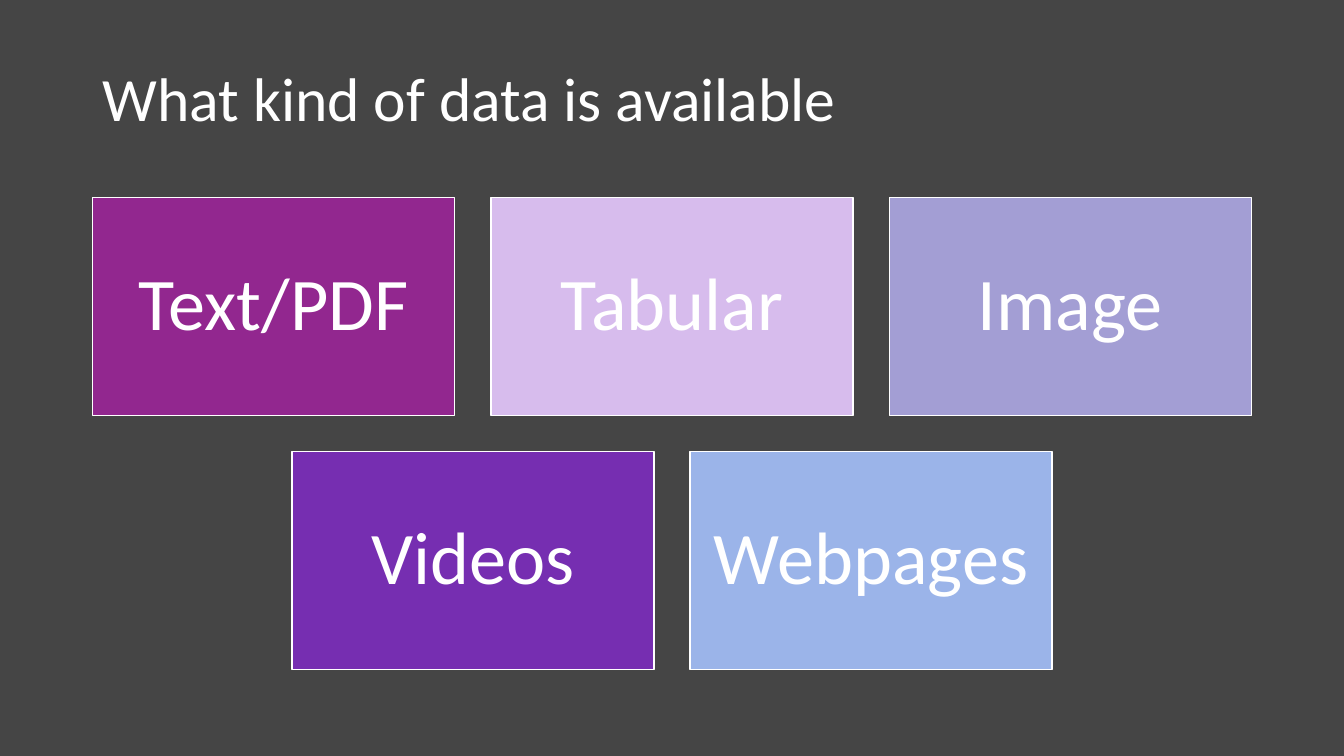
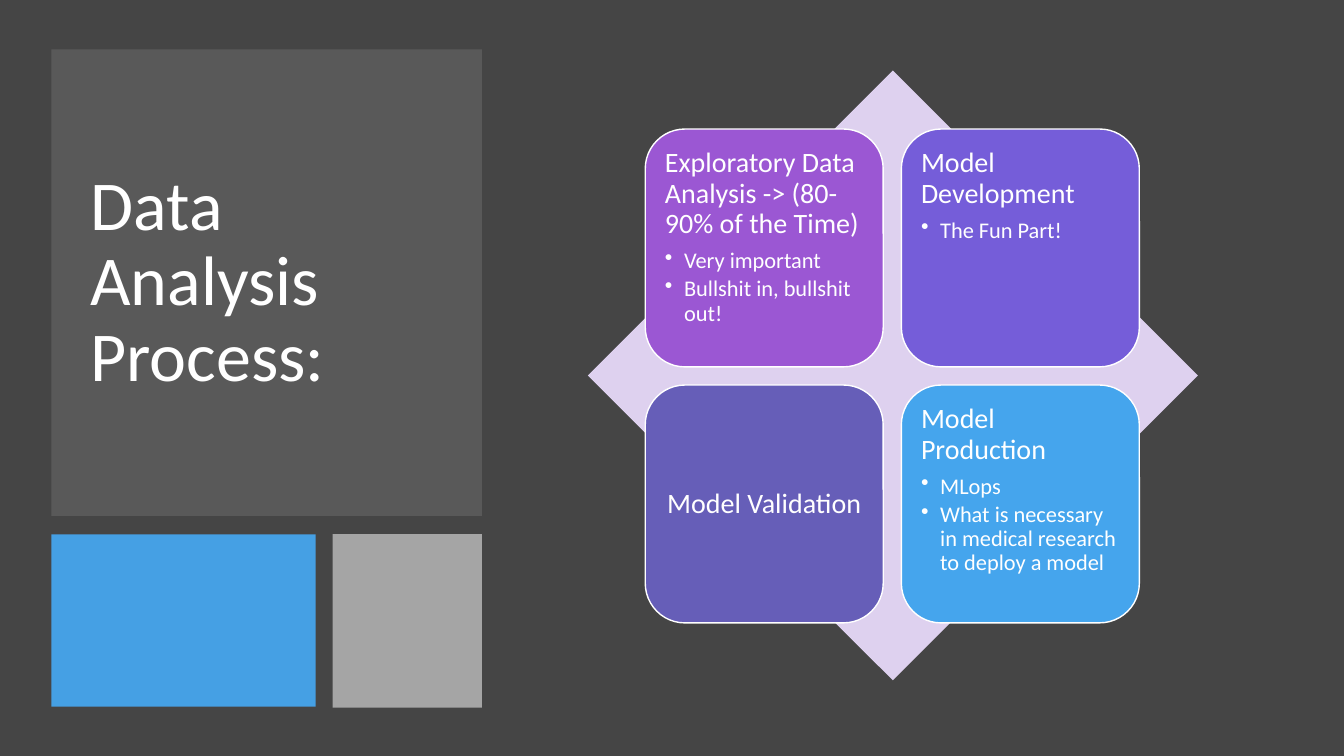
"""Build two dark slides on data kinds and the analysis process."""
from dataclasses import dataclass

import lxml.etree
import pptx
import pptx.dml.color
import pptx.enum.shapes
import pptx.enum.text
import pptx.oxml.ns
import pptx.util

WIDE = pptx.util.Inches(13.33)
HIGH = pptx.util.Inches(7.5)
FONT = "Calibri"
BACK = "454545"
WHITE = "FFFFFF"
BLUE = "45A5ED"
KIND = pptx.enum.shapes.MSO_SHAPE
ALIGN = pptx.enum.text.PP_ALIGN
ANCHOR = pptx.enum.text.MSO_ANCHOR


@dataclass(frozen=True)
class Area:
    """A box in percent of the slide's width and height."""
    left: float
    top: float
    wide: float
    high: float

    def cell(self, col: float, row: float, cols: int, rows: int, gap: float) -> "Area":
        """Return a grid cell; the gap is in percent of the slide's width."""
        rise = gap * WIDE / HIGH
        wide = (self.wide - gap * (cols - 1)) / cols
        high = (self.high - rise * (rows - 1)) / rows
        return Area(self.left + col * (wide + gap), self.top + row * (high + rise), wide, high)

    def place(self) -> tuple[int, int, int, int]:
        """Return the box in slide units."""
        return (int(self.left * WIDE / 100), int(self.top * HIGH / 100),
                int(self.wide * WIDE / 100), int(self.high * HIGH / 100))


@dataclass(frozen=True)
class Tile:
    """A coloured card with a heading and bullet points."""
    col: float
    row: int
    fill: str
    head: str
    points: tuple[str, ...] = ()


@dataclass(frozen=True)
class Panel:
    """A plain shape without text."""
    area: Area
    fill: str
    kind: int = KIND.RECTANGLE
    alpha: int = 100


@dataclass(frozen=True)
class Style:
    """The look and grid of a set of cards."""
    area: Area
    cols: int
    gap: float
    kind: int
    size: int
    inset: float


DATA = Style(Area(6.9, 26.13, 86.2, 62.4), 3, 2.7, KIND.RECTANGLE, 53, 0.22)
STEPS = Style(Area(48.01, 17.07, 36.76, 65.33), 2, 1.35, KIND.ROUNDED_RECTANGLE, 20, 0.08)

KINDS = (
    Tile(0, 0, "92278F", "Text/PDF"),
    Tile(1, 0, "D7BCED", "Tabular"),
    Tile(2, 0, "A39ED4", "Image"),
    Tile(0.5, 1, "762EB1", "Videos"),
    Tile(1.5, 1, "9BB4E9", "Webpages"),
)
PANELS = (
    Panel(Area(3.83, 6.53, 32.03, 61.73), "595959"),
    Panel(Area(3.83, 70.67, 19.65, 22.8), BLUE, alpha=95),
    Panel(Area(24.76, 70.67, 11.1, 22.93), "A5A5A5"),
    Panel(Area(43.74, 9.33, 45.39, 80.67), "DED1EF", KIND.DIAMOND),
)
PHASES = (
    Tile(0, 0, "9B57D3", "Exploratory Data Analysis -> (80-90% of the Time)",
         ("Very important", "Bullshit in, bullshit out!")),
    Tile(1, 0, "755DD9", "Model Development", ("The Fun Part!",)),
    Tile(0, 1, "665EB8", "Model Validation"),
    Tile(1, 1, BLUE, "Model Production",
         ("MLops", "What is necessary in medical research to deploy a model")),
)


def paint(fill, tone: str) -> None:
    """Fill with one solid colour."""
    fill.solid()
    fill.fore_color.rgb = pptx.dml.color.RGBColor.from_string(tone)


def write(para, text: str, size: int) -> None:
    """Add a white run to a paragraph."""
    para.line_spacing = 0.9
    run = para.add_run()
    run.text = text
    run.font.name = FONT
    run.font.size = pptx.util.Pt(size)
    paint(run.font.fill, WHITE)


def dot(para) -> None:
    """Give a paragraph a hanging bullet."""
    props = para._p.get_or_add_pPr()
    step = pptx.util.Inches(0.19)
    props.set("marL", str(step))
    props.set("indent", str(-step))
    mark = lxml.etree.SubElement(props, pptx.oxml.ns.qn("a:buChar"))
    mark.set("char", "•")


def title(slide, area: Area, text: str, size: int) -> None:
    """Add the slide's title."""
    frame = slide.shapes.add_textbox(*area.place()).text_frame
    frame.word_wrap = True
    frame.vertical_anchor = ANCHOR.MIDDLE
    write(frame.paragraphs[0], text, size)


def block(slide, panel: Panel):
    """Add a flat shape without a line."""
    shape = slide.shapes.add_shape(panel.kind, *panel.area.place())
    shape.shadow.inherit = False
    paint(shape.fill, panel.fill)
    shape.line.fill.background()
    if panel.alpha < 100:
        tone = next(shape._element.spPr.iter(pptx.oxml.ns.qn("a:srgbClr")))
        alpha = lxml.etree.SubElement(tone, pptx.oxml.ns.qn("a:alpha"))
        alpha.set("val", str(panel.alpha * 1000))
    return shape


def card(slide, style: Style, tile: Tile) -> None:
    """Add a card with its text."""
    area = style.area.cell(tile.col, tile.row, style.cols, 2, style.gap)
    shape = block(slide, Panel(area, tile.fill, style.kind))
    paint(shape.line.fill, WHITE)
    shape.line.width = pptx.util.Pt(1)
    frame = shape.text_frame
    frame.word_wrap = True
    inset = pptx.util.Inches(style.inset)
    frame.margin_left = frame.margin_right = inset
    frame.margin_top = frame.margin_bottom = inset
    frame.vertical_anchor = ANCHOR.TOP if tile.points else ANCHOR.MIDDLE
    para = frame.paragraphs[0]
    para.alignment = ALIGN.LEFT if tile.points else ALIGN.CENTER
    write(para, tile.head, style.size)
    if tile.points:
        para.space_after = pptx.util.Pt(7)
    for point in tile.points:
        para = frame.add_paragraph()
        dot(para)
        para.alignment = ALIGN.LEFT
        para.space_after = pptx.util.Pt(3)
        write(para, point, 16)


def sheet(deck):
    """Add a blank dark slide."""
    slide = deck.slides.add_slide(deck.slide_layouts[6])
    paint(slide.background.fill, BACK)
    return slide


def main() -> None:
    """Build and save the deck."""
    deck = pptx.Presentation()
    deck.slide_width, deck.slide_height = WIDE, HIGH

    slide = sheet(deck)
    title(slide, Area(6.9, 3.73, 86.26, 19.33), "What kind of data is available", 44)
    for tile in KINDS:
        card(slide, DATA, tile)

    slide = sheet(deck)
    for panel in PANELS:
        block(slide, panel)
    title(slide, Area(6, 13.6, 27.61, 47.73), "Data Analysis Process:", 50)
    for tile in PHASES:
        card(slide, STEPS, tile)

    deck.save("out.pptx")


if __name__ == "__main__":
    main()
